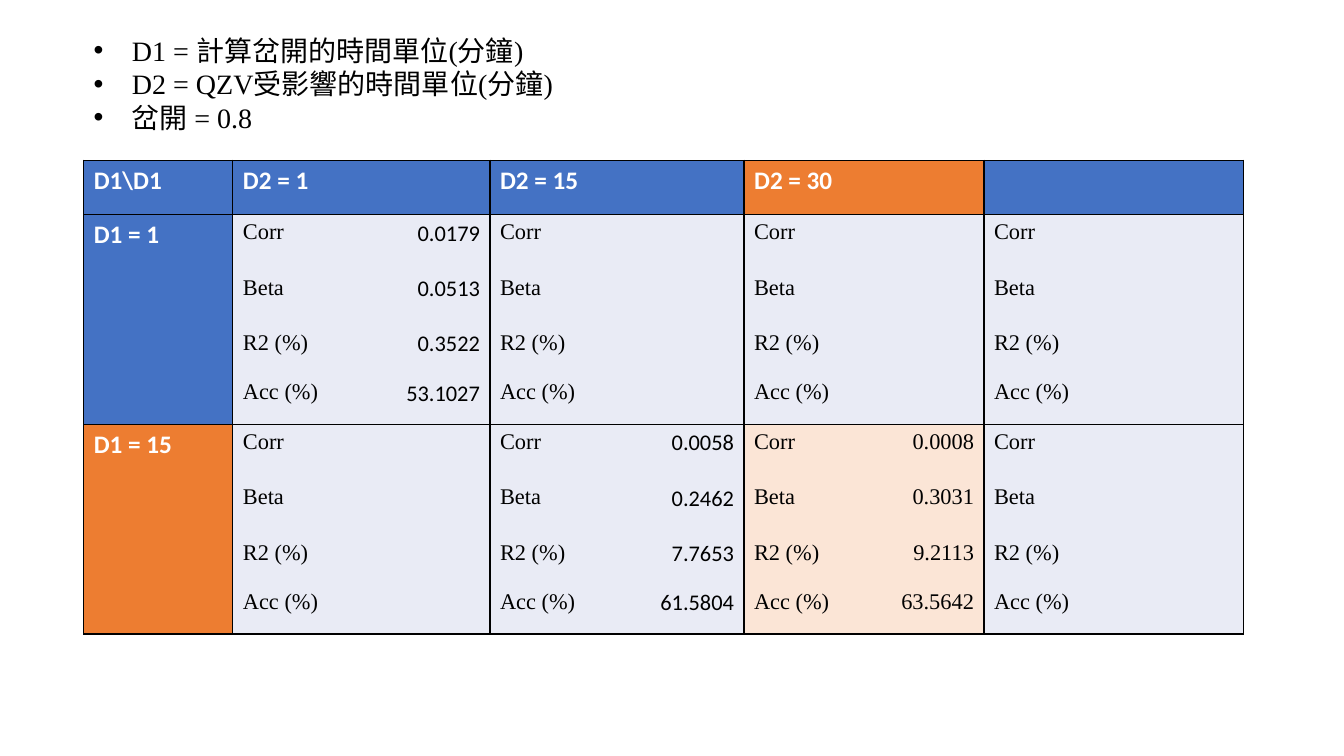
import dataclasses

import pptx
import pptx.dml.color
import pptx.enum.text
import pptx.oxml.ns
import pptx.util
from lxml import etree

EMU_PER_PX = 9144  # 100 px to the inch
COLORS = {
    "black": "000000",
    "white": "FFFFFF",
    "blue": "4472C4",
    "orange": "ED7D31",
    "pale blue": "E9EBF5",
    "pale orange": "FBE5D6",
}
SERIF, SANS = "Times New Roman", "Calibri"
LEFT, WIDTH = 83, 1150
COLUMN_WIDTHS = (148, 120, 135, 127, 125, 110, 128, 115, 142)
HEADER_HEIGHT = 54
METRIC_HEIGHTS = {"Corr": 55, "Beta": 55, "R2 (%)": 49, "Acc (%)": 49}
NOTES = (
    "D1 = 計算岔開的時間單位(分鐘)",
    "D2 = QZV受影響的時間單位(分鐘)",
    "岔開 = 0.8",
)


@dataclasses.dataclass(frozen=True)
class Heading:
    text: str
    color: str = "blue"


@dataclasses.dataclass(frozen=True)
class Result:
    values: tuple[str, ...] = ("",) * len(METRIC_HEIGHTS)
    fill: str = "pale blue"
    font: str = SANS


COLUMN_HEADINGS = (
    Heading("D2 = 1"),
    Heading("D2 = 15"),
    Heading("D2 = 30", "orange"),
    Heading(""),
)
ROW_HEADINGS = (Heading("D1 = 1"), Heading("D1 = 15", "orange"))
RESULTS = (
    (Result(("0.0179", "0.0513", "0.3522", "53.1027")), Result(), Result(), Result()),
    (
        Result(),
        Result(("0.0058", "0.2462", "7.7653", "61.5804")),
        Result(("0.0008", "0.3031", "9.2113", "63.5642"), "pale orange", SERIF),
        Result(),
    ),
)


def px(length: int) -> pptx.util.Emu:
    return pptx.util.Emu(length * EMU_PER_PX)


def rgb(name: str) -> pptx.dml.color.RGBColor:
    return pptx.dml.color.RGBColor.from_string(COLORS[name])


def write(paragraph, text: str, *, size: int = 16, font: str = SERIF,
          color: str = "black", bold: bool = False, right: bool = False) -> None:
    alignment = pptx.enum.text.PP_ALIGN
    paragraph.alignment = alignment.RIGHT if right else alignment.LEFT
    if not text:
        paragraph.font.size = pptx.util.Pt(size)
        return
    run = paragraph.add_run()
    run.text = text
    run.font.size = pptx.util.Pt(size)
    run.font.name = font
    run.font.bold = bold
    run.font.color.rgb = rgb(color)


def add_child(parent, tag: str, **attributes: str):
    return etree.SubElement(parent, pptx.oxml.ns.qn(tag), attributes)


def style_cell(cell, fill: str, sides: str = "LRTB") -> None:
    """Fill the cell and rule only the named sides."""
    properties = cell._tc.get_or_add_tcPr()
    for side in "LRTB":
        line = add_child(properties, f"a:ln{side}", w=str(pptx.util.Pt(1)))
        if side in sides:
            color = add_child(line, "a:solidFill")
            add_child(color, "a:srgbClr", val=COLORS["black"])
        else:
            add_child(line, "a:noFill")
    cell.fill.solid()
    cell.fill.fore_color.rgb = rgb(fill)


def add_heading(table, heading: Heading, row: int, column: int,
                rows: int = 1, columns: int = 1) -> None:
    """Merge a block of cells into one heading."""
    for r in range(row, row + rows):
        for c in range(column, column + columns):
            style_cell(table.cell(r, c), heading.color)
    cell = table.cell(row, column)
    if rows * columns > 1:
        cell.merge(table.cell(row + rows - 1, column + columns - 1))
    write(cell.text_frame.paragraphs[0], heading.text,
          size=18, font=SANS, color="white", bold=True)


def add_result(table, result: Result, row: int, column: int) -> None:
    """Write metric names and their values inside one ruled block."""
    last = len(METRIC_HEIGHTS) - 1
    for index, (metric, value) in enumerate(zip(METRIC_HEIGHTS, result.values)):
        name_cell = table.cell(row + index, column)
        value_cell = table.cell(row + index, column + 1)
        top = "T" if index == 0 else ""
        bottom = "B" if index == last else ""
        style_cell(name_cell, result.fill, "L" + top + bottom)
        if value_cell.is_merge_origin:
            bottom = "B"
        style_cell(value_cell, result.fill, "R" + top + bottom)
        write(name_cell.text_frame.paragraphs[0], metric)
        write(value_cell.text_frame.paragraphs[0], value, font=result.font, right=True)


def add_results_table(slide) -> None:
    metric_count = len(METRIC_HEIGHTS)
    row_heights = (HEADER_HEIGHT, *(tuple(METRIC_HEIGHTS.values()) * len(ROW_HEADINGS)))
    table = slide.shapes.add_table(
        len(row_heights), len(COLUMN_WIDTHS),
        px(LEFT), px(159), px(WIDTH), px(sum(row_heights)),
    ).table
    table.first_row = table.horz_banding = False
    for column, width in zip(table.columns, COLUMN_WIDTHS):
        column.width = px(width)
    for row, height in zip(table.rows, row_heights):
        row.height = px(height)

    bottom, right = len(row_heights) - 1, len(COLUMN_WIDTHS) - 1
    table.cell(bottom - 1, right).merge(table.cell(bottom, right))

    add_heading(table, Heading("D1\\D1"), 0, 0)
    for index, heading in enumerate(COLUMN_HEADINGS):
        add_heading(table, heading, 0, 1 + 2 * index, columns=2)
    for group, (heading, results) in enumerate(zip(ROW_HEADINGS, RESULTS)):
        first_row = 1 + metric_count * group
        add_heading(table, heading, first_row, 0, rows=metric_count)
        for index, result in enumerate(results):
            add_result(table, result, first_row, 1 + 2 * index)


def add_notes(slide) -> None:
    """Add the bulleted definitions above the table."""
    frame = slide.shapes.add_textbox(px(LEFT), px(28), px(WIDTH), px(111)).text_frame
    frame.word_wrap = True
    frame.auto_size = pptx.enum.text.MSO_AUTO_SIZE.SHAPE_TO_FIT_TEXT
    for index, note in enumerate(NOTES):
        paragraph = frame.add_paragraph() if index else frame.paragraphs[0]
        write(paragraph, note, size=20)
        properties = paragraph._p.get_or_add_pPr()
        properties.set("marL", str(px(38)))
        properties.set("indent", str(px(-38)))
        add_child(properties, "a:buFont", typeface="Arial")
        add_child(properties, "a:buChar", char="•")


def main() -> None:
    presentation = pptx.Presentation()
    presentation.slide_width = px(1333)
    presentation.slide_height = px(750)
    slide = presentation.slides.add_slide(presentation.slide_layouts[6])
    add_results_table(slide)
    add_notes(slide)
    presentation.save("out.pptx")


if __name__ == "__main__":
    main()
